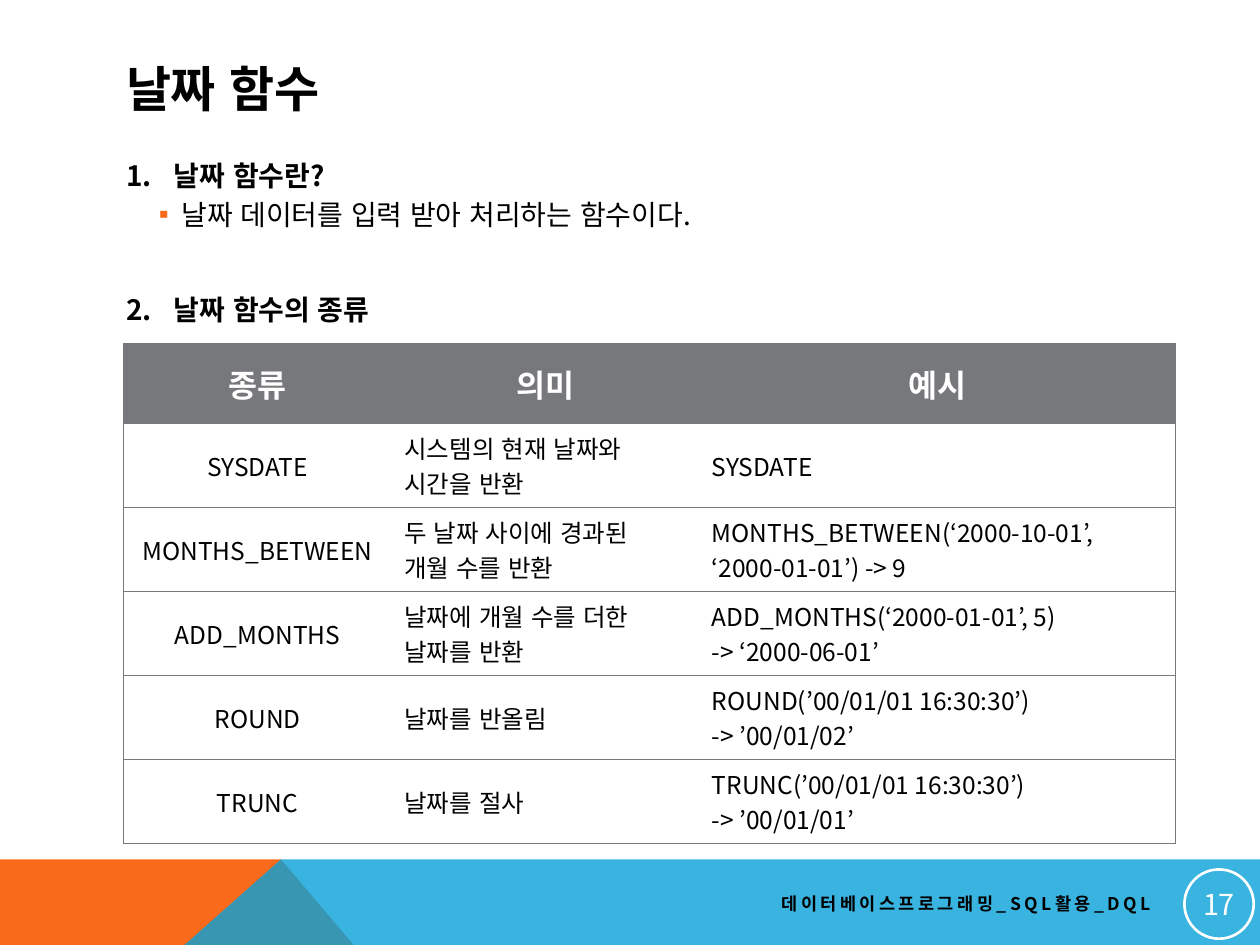
from lxml.etree import SubElement
from pptx import Presentation
from pptx.dml.color import RGBColor
from pptx.enum.lang import MSO_LANGUAGE_ID as Language
from pptx.enum.shapes import MSO_SHAPE as Shape
from pptx.enum.text import MSO_ANCHOR as Anchor, MSO_AUTO_SIZE as AutoSize, PP_ALIGN as Align
from pptx.oxml.ns import qn
from pptx.util import Inches, Pt

FONT = "Noto Sans CJK KR"
COLORS = {"orange": "F96A1B", "blue": "08A1D9", "gray": "76787B", "black": "000000", "white": "FFFFFF"}
TITLE = "날짜 함수"
OUTLINE = [
    {"text": "날짜 함수란?", "number": 1, "before": 0},
    {"text": "날짜 데이터를 입력 받아 처리하는 함수이다.", "before": 3},
    {"text": "날짜 함수의 종류", "number": 2, "before": 35},
]
HEADER = ["종류", "의미", "예시"]
FUNCTIONS = [
    ("SYSDATE", "시스템의 현재 날짜와\n시간을 반환", ["SYSDATE"]),
    ("MONTHS_BETWEEN", "두 날짜 사이에 경과된\n개월 수를 반환",
     ["MONTHS_BETWEEN(‘2000-10-01’, ‘2000-01-01’) -> 9"]),
    ("ADD_MONTHS", "날짜에 개월 수를 더한\n날짜를 반환", ["ADD_MONTHS(‘2000-01-01’, 5)", "-> ‘2000-06-01’"]),
    ("ROUND", "날짜를 반올림", ["ROUND(’00/01/01 16:30:30’)", "-> ’00/01/02’"]),
    ("TRUNC", "날짜를 절사", ["TRUNC(’00/01/01 16:30:30’)", "-> ’00/01/01’"]),
]
COLUMN_WIDTHS = [2.13, 2.44, 3.78]
HEADER_HEIGHT, ROW_HEIGHT = 0.63, 2 / 3
FOOTER = "데이터베이스프로그래밍_SQL활용_DQL"
PAGE_NUMBER = "17"
BAND_TOP, BAND_BOTTOM, BAND_PEAK = 6.82, 8.8, 2.23
BANDS = [
    ("orange", 100, [(0, BAND_BOTTOM), (0, BAND_TOP), (BAND_PEAK, BAND_TOP), (3.91, BAND_BOTTOM)]),
    ("blue", 80, [(0, BAND_BOTTOM), (BAND_PEAK, BAND_TOP), (10, BAND_TOP), (10, BAND_BOTTOM)]),
]


def rgb(name):
    """Return the named colour."""
    return RGBColor.from_string(COLORS[name])


def place(shape, left, top, width, height):
    """Move and size a shape in inches."""
    shape.left, shape.top, shape.width, shape.height = map(Inches, (left, top, width, height))


def write(para, text, size, color="black", bold=False, align=Align.LEFT):
    """Add text to a paragraph, with line breaks at newlines."""
    para.alignment = align
    for index, line in enumerate(text.split("\n")):
        if index:
            para.add_line_break()
        span = para.add_run()
        span.text = line
        span.font.size, span.font.bold = Pt(size), bold
        span.font.language_id = Language.KOREAN
        span.font.color.rgb = rgb(color)
        span.font.name = FONT
        SubElement(span.font._element, qn("a:ea"), typeface=FONT)


def add_band(page, color, opacity, points):
    """Draw one slanted band at the foot of the page."""
    start, *rest = [(Inches(x), Inches(y)) for x, y in points]
    builder = page.shapes.build_freeform(*start, scale=1.0)
    builder.add_line_segments(rest, close=True)
    band = builder.convert_to_shape()
    band.shadow.inherit = False
    band.fill.solid()
    band.fill.fore_color.rgb = rgb(color)
    band.line.fill.background()
    if opacity < 100:
        tint = band._element.spPr.find(qn("a:solidFill"))[0]
        SubElement(tint, qn("a:alpha"), val=str(opacity * 1000))


def set_bullet(para, number):
    """Give a paragraph its number, or a square bullet when it has none."""
    props = para._p.get_or_add_pPr()
    margin, hanging = (0.38, 0.38) if number else (0.44, 0.18)
    props.set("marL", str(Inches(margin)))
    props.set("indent", str(-Inches(hanging)))
    if number:
        SubElement(props, qn("a:buFont"), typeface="+mj-lt")
        SubElement(props, qn("a:buAutoNum"), type="arabicPeriod", startAt=str(number))
    else:
        tint = SubElement(props, qn("a:buClr"))
        SubElement(tint, qn("a:srgbClr"), val=COLORS["orange"])
        SubElement(props, qn("a:buChar"), char="▪")


def fill_outline(body):
    """Write the numbered headings and their bullet."""
    place(body, 0.9, 1.2, 8.22, 3.91)
    frame = body.text_frame
    frame.auto_size = AutoSize.NONE
    for index, item in enumerate(OUTLINE):
        para = frame.add_paragraph() if index else frame.paragraphs[0]
        number = item.get("number")
        para.level = 0 if number else 1
        set_bullet(para, number)
        para.line_spacing, para.space_before = Pt(19.5), Pt(item["before"])
        write(para, item["text"], 16, bold=bool(number))


def set_borders(cell, edges):
    """Draw the given edges of a cell and clear the others."""
    props = cell._tc.get_or_add_tcPr()
    for edge in "LRTB":
        line = SubElement(props, qn(f"a:ln{edge}"), w=str(Pt(0.75)))
        if edge in edges:
            fill = SubElement(line, qn("a:solidFill"))
            SubElement(fill, qn("a:srgbClr"), val=COLORS["gray"])
        else:
            SubElement(line, qn("a:noFill"))


def add_function_table(page):
    """Build the table of date functions."""
    rows = [HEADER, *FUNCTIONS]
    frame = page.shapes.add_table(
        len(rows), len(HEADER), Inches(0.98), Inches(2.73),
        Inches(sum(COLUMN_WIDTHS)), Inches(HEADER_HEIGHT + ROW_HEIGHT * len(FUNCTIONS)))
    table = frame.table
    table.horz_banding = False
    for column, width in zip(table.columns, COLUMN_WIDTHS):
        column.width = Inches(width)
    for r, row in enumerate(rows):
        table.rows[r].height = Inches(ROW_HEIGHT if r else HEADER_HEIGHT)
        for c, content in enumerate(row):
            cell = table.cell(r, c)
            cell.vertical_anchor = Anchor.MIDDLE
            set_borders(cell, "TB" + ("L", "", "R")[c])
            if r == 0:
                cell.fill.solid()
                cell.fill.fore_color.rgb = rgb("gray")
                style = (18, "white", True, Align.CENTER)
            else:
                cell.fill.background()
                style = (14, "black", False, Align.LEFT if c else Align.CENTER)
            lines = content if isinstance(content, list) else [content]
            for index, line in enumerate(lines):
                para = cell.text_frame.add_paragraph() if index else cell.text_frame.paragraphs[0]
                write(para, line, *style)


def add_footer(page):
    """Add the course name and the page number in its ring."""
    box = page.shapes.add_textbox(Inches(4.06), Inches(7.02), Inches(5.17), Inches(0.3))
    box.text_frame.word_wrap = True
    box.text_frame.vertical_anchor = Anchor.MIDDLE
    para = box.text_frame.paragraphs[0]
    write(para, FOOTER, 10, bold=True, align=Align.RIGHT)
    para.runs[0].font._element.set("spc", "200")

    ring = page.shapes.add_shape(Shape.OVAL, Inches(9.4), Inches(6.9), Inches(0.55), Inches(0.55))
    ring.shadow.inherit = False
    ring.fill.background()
    ring.line.color.rgb, ring.line.width = rgb("white"), Pt(1.5)
    frame = ring.text_frame
    frame.margin_left = frame.margin_right = frame.margin_top = frame.margin_bottom = Inches(0.01)
    frame.vertical_anchor = Anchor.MIDDLE
    write(frame.paragraphs[0], PAGE_NUMBER, 16.5, "white", align=Align.CENTER)


def main():
    """Build and save the slide."""
    deck = Presentation()
    deck.slide_width, deck.slide_height = Inches(10), Inches(7.5)
    page = deck.slides.add_slide(deck.slide_layouts[1])
    for band in BANDS:
        add_band(page, *band)
    title = page.shapes.title
    place(title, 0.9, 0.4, 8.22, 0.6)
    title.text_frame.auto_size = AutoSize.NONE
    title.text_frame.vertical_anchor = Anchor.MIDDLE
    write(title.text_frame.paragraphs[0], TITLE, 28, bold=True)
    fill_outline(page.placeholders[1])
    add_footer(page)
    add_function_table(page)
    deck.save("out.pptx")


if __name__ == "__main__":
    main()
